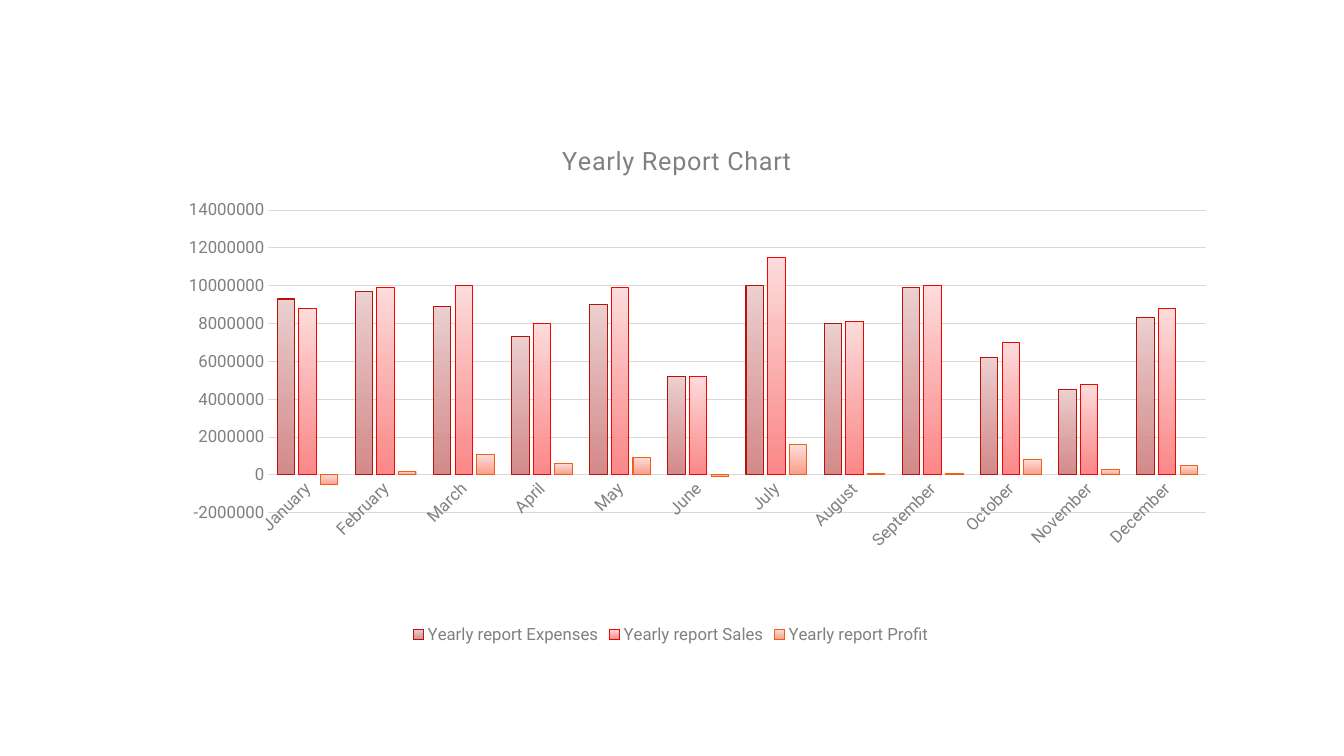
from dataclasses import dataclass

from lxml.etree import SubElement
from pptx import Presentation
from pptx.chart.data import CategoryChartData
from pptx.dml.color import RGBColor
from pptx.enum.chart import XL_CHART_TYPE, XL_LEGEND_POSITION, XL_TICK_MARK
from pptx.oxml import parse_xml
from pptx.oxml.ns import nsdecls, qn
from pptx.util import Cm, Pt

FONT = "Roboto"
TEXT_GREY = "808080"
GRID_GREY = "D9D9D9"
MONTHS = ["January", "February", "March", "April", "May", "June", "July",
          "August", "September", "October", "November", "December"]


@dataclass(frozen=True)
class Measure:
    name: str
    millions: tuple[float, ...]
    top: str
    bottom: str
    outline: str


MEASURES = [
    Measure("Yearly report Expenses",
            (9.3, 9.7, 8.9, 7.3, 9, 5.2, 10, 8, 9.9, 6.2, 4.5, 8.3),
            "ECD1D1", "D18181", "B91209"),
    Measure("Yearly report Sales",
            (8.8, 9.9, 10, 8, 9.9, 5.2, 11.5, 8.1, 10, 7, 4.8, 8.8),
            "FDDDDD", "FC7F7F", "EF0600"),
    Measure("Yearly report Profit",
            (-0.5, 0.2, 1.1, 0.6, 0.9, -0.1, 1.6, 0.1, 0.1, 0.8, 0.3, 0.5),
            "FDE1DD", "FA9580", "ED6016"),
]


def rgb(value: str) -> RGBColor:
    return RGBColor.from_string(value)


def style_font(font, size: float) -> None:
    font.name = FONT
    font.size = Pt(size)
    font.bold = False
    font.color.rgb = rgb(TEXT_GREY)


def style_line(line, color: str) -> None:
    line.color.rgb = rgb(color)
    line.width = Pt(0.75)


def manual_layout(target: str, **fractions: float):
    """Return a c:layout whose x, y, w and h are fractions of the chart."""
    modes = "".join(f'<c:{axis}Mode val="edge"/>' for axis in "xy")
    places = "".join(f'<c:{key} val="{value}"/>' for key, value in fractions.items())
    return parse_xml(f'<c:layout {nsdecls("c")}><c:manualLayout>'
                     f"{target}{modes}{places}</c:manualLayout></c:layout>")


def remove_layout(element) -> None:
    for layout in element.findall(qn("c:layout")):
        element.remove(layout)


def style_title(chart) -> None:
    chart.has_title = True
    heading = chart.chart_title.text_frame.paragraphs[0]
    heading.text = "Yearly Report Chart"
    style_font(heading.font, 18)
    heading.font._element.set("spc", "50")
    heading.runs[0].font._element.set("spc", "50")
    title = chart.chart_title._element
    remove_layout(title)
    title.find(qn("c:tx")).addnext(manual_layout("", x=0.4, y=0.04))


def style_axes(chart) -> None:
    months, amounts = chart.category_axis, chart.value_axis
    for axis in (months, amounts):
        axis.major_tick_mark = axis.minor_tick_mark = XL_TICK_MARK.NONE
        style_font(axis.tick_labels.font, 12)
    style_line(months.format.line, GRID_GREY)
    label_body = months._element.find(qn("c:txPr")).find(qn("a:bodyPr"))
    label_body.set("rot", "-2700000")
    label_body.set("vert", "horz")

    amounts.minimum_scale = -2_000_000
    amounts.maximum_scale = 14_000_000
    amounts.major_unit = 2_000_000
    amounts.tick_labels.number_format = "General"
    amounts.tick_labels.number_format_is_linked = False
    amounts.format.line.fill.background()
    amounts.has_major_gridlines = True
    style_line(amounts.major_gridlines.format.line, GRID_GREY)


def style_columns(series, measure: Measure) -> None:
    series.invert_if_negative = False
    fill = series.format.fill
    fill.gradient()
    fill.gradient_angle = 270
    for stop, color in zip(fill.gradient_stops, (measure.top, measure.bottom)):
        stop.color.rgb = rgb(color)
    end_color = series._element.findall(".//" + qn("a:gs"))[-1][0]
    SubElement(end_color, qn("a:alpha")).set("val", "92000")
    style_line(series.format.line, measure.outline)


def add_report_chart(slide) -> None:
    report = CategoryChartData()
    report.categories = MONTHS
    for measure in MEASURES:
        report.add_series(measure.name, [round(m * 1_000_000) for m in measure.millions])
    chart = slide.shapes.add_chart(XL_CHART_TYPE.COLUMN_CLUSTERED, Cm(2.62), Cm(3),
                                   Cm(28.58), Cm(13.34), report).chart
    style_font(chart.font, 10)
    style_title(chart)
    style_axes(chart)

    columns = chart.plots[0]
    columns.gap_width = 100
    columns.overlap = -24
    columns.vary_by_categories = False
    for series, measure in zip(columns.series, MEASURES):
        style_columns(series, measure)

    plot_area = columns._element.getparent()
    remove_layout(plot_area)
    plot_area.insert(0, manual_layout('<c:layoutTarget val="inner"/>',
                                      x=0.145, y=0.172, w=0.827, h=0.572))
    chart.has_legend = True
    chart.legend.position = XL_LEGEND_POSITION.BOTTOM
    chart.legend.include_in_layout = False
    style_font(chart.legend.font, 12)


def main() -> None:
    presentation = Presentation()
    presentation.slide_width = Cm(33.87)
    presentation.slide_height = Cm(19.05)
    slide = presentation.slides.add_slide(presentation.slide_layouts[6])
    add_report_chart(slide)
    presentation.save("out.pptx")


if __name__ == "__main__":
    main()
